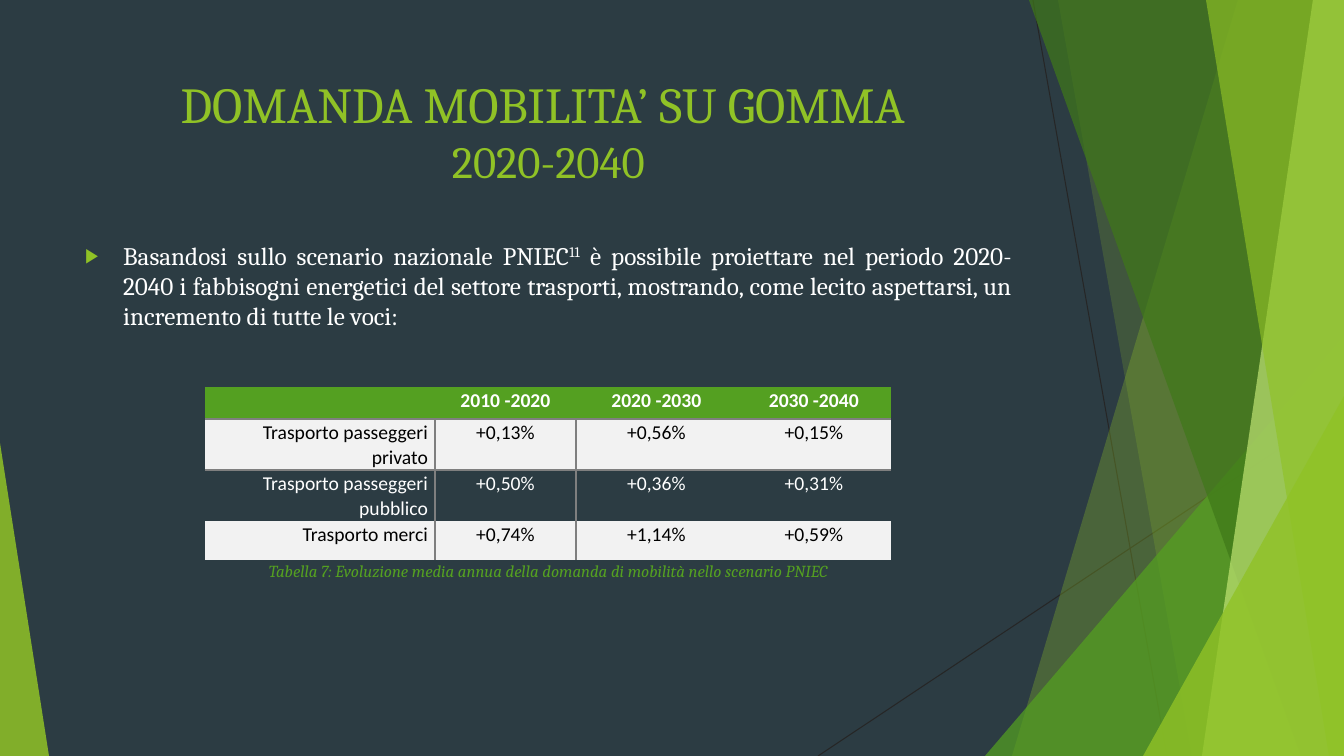
from lxml.etree import SubElement
from pptx import Presentation
from pptx.dml.color import RGBColor
from pptx.enum.shapes import MSO_CONNECTOR, MSO_SHAPE
from pptx.enum.text import MSO_ANCHOR, MSO_AUTO_SIZE, PP_ALIGN
from pptx.oxml.ns import qn
from pptx.util import Emu, Inches, Pt

PX = Inches(7.5) / 756
WIDE, HIGH = 1344, 756
SLATE = RGBColor(0x2C, 0x3C, 0x43)
LIME = RGBColor(0x90, 0xC2, 0x26)
GREEN = RGBColor(0x54, 0xA0, 0x21)
FOREST = RGBColor(0x3F, 0x78, 0x19)
PALE = RGBColor(0xC0, 0xE4, 0x74)
DARK = RGBColor(0x26, 0x26, 0x26)
GREY = RGBColor(0x7F, 0x7F, 0x7F)
LIGHT = RGBColor(0xF2, 0xF2, 0xF2)
WHITE = RGBColor(0xFF, 0xFF, 0xFF)
BLACK = RGBColor(0, 0, 0)
NO_GRID = "{2D5ABB26-0587-4C30-8999-92F81FD0307C}"


def px(count):
    return Emu(round(count * PX))


def write(para, text, size, color, face="Cambria", bold=False, italic=False, base=0):
    run = para.add_run()
    run.text = text
    font = run.font
    font.name, font.size = face, Pt(size)
    font.bold, font.italic = bold, italic
    font.color.rgb = color
    if base:
        run._r.get_or_add_rPr().set("baseline", str(base * 1000))


class Board:
    def __init__(self, slide, back):
        self.slide = slide
        self.shapes = slide.shapes
        slide.background.fill.solid()
        slide.background.fill.fore_color.rgb = back

    def paint(self, shape, color, alpha):
        shape.shadow.inherit = False
        shape.line.fill.background()
        shape.fill.solid()
        shape.fill.fore_color.rgb = color
        tint = shape.element.spPr.find(".//" + qn("a:srgbClr"))
        SubElement(tint, qn("a:alpha")).set("val", str(alpha * 1000))

    def line(self, *ends):
        link = self.shapes.add_connector(MSO_CONNECTOR.STRAIGHT, *map(px, ends))
        link.line.color.rgb = DARK
        link.line.width = Pt(0.75)
        SubElement(link.element.spPr, qn("a:effectLst"))

    def band(self, top, bottom, color, alpha):
        path = self.shapes.build_freeform(top, 0, scale=PX)
        path.add_line_segments([(WIDE, 0), (WIDE, HIGH), (bottom, HIGH)])
        self.paint(path.convert_to_shape(), color, alpha)

    def wedge(self, left, top, tip, color, alpha, width):
        shape = self.shapes.add_shape(
            MSO_SHAPE.ISOSCELES_TRIANGLE, px(left), px(top), px(width), px(HIGH - top))
        shape.adjustments[0] = tip
        self.paint(shape, color, alpha)

    def holder(self, index, left, top, width, height):
        shape = self.slide.placeholders[index]
        shape.left, shape.top = px(left), px(top)
        shape.width, shape.height = px(width), px(height)
        self.shapes.element.append(shape.element)
        frame = shape.text_frame
        frame.auto_size = MSO_AUTO_SIZE.NONE
        frame.vertical_anchor = MSO_ANCHOR.TOP
        para = frame.paragraphs[0]
        para.space_before = Pt(0)
        return para

    def bullet(self, para, indent):
        props = para._p.get_or_add_pPr()
        props.set("marL", str(px(indent)))
        props.set("indent", str(-px(indent)))
        tint = SubElement(props, qn("a:buClr"))
        SubElement(tint, qn("a:srgbClr")).set("val", str(LIME))
        SubElement(props, qn("a:buSzPct")).set("val", "80000")
        SubElement(props, qn("a:buChar")).set("char", "▶")

    def border(self, cell, sides):
        props = cell._tc.get_or_add_tcPr()
        for side in sides:
            edge = SubElement(props, qn("a:ln" + side), w=str(Pt(1)))
            fill = SubElement(edge, qn("a:solidFill"))
            SubElement(fill, qn("a:srgbClr")).set("val", str(GREY))

    def cell(self, cell, text, row, col):
        head, shaded = row == 0, row % 2 == 1
        cell.margin_left = cell.margin_right = px(7)
        cell.margin_top = cell.margin_bottom = 0
        sides = {0: "R", 1: "L"}.get(col, "") if row else "B"
        self.border(cell, sides + ("T" if row == 1 else ""))
        if head or shaded:
            cell.fill.solid()
            cell.fill.fore_color.rgb = GREEN if head else LIGHT
        else:
            cell.fill.background()
        para = cell.text_frame.paragraphs[0]
        para.alignment = PP_ALIGN.CENTER if head or col else PP_ALIGN.RIGHT
        para.line_spacing = 1.07
        para.space_after = Pt(8)
        if text:
            write(para, text, 14, BLACK if shaded else WHITE, face="Calibri", bold=head)

    def table(self, left, top, widths, heights, data):
        frame = self.shapes.add_table(
            len(heights), len(widths), px(left), px(top), px(sum(widths)), px(sum(heights)))
        grid = frame.table
        grid.first_row = grid.horz_banding = False
        frame.element.find(".//" + qn("a:tableStyleId")).text = NO_GRID
        for col, width in zip(grid.columns, widths):
            col.width = px(width)
        for row, height in zip(grid.rows, heights):
            row.height = px(height)
        for r, texts in enumerate(data):
            for c, text in enumerate(texts):
                self.cell(grid.cell(r, c), text, r, c)

    def label(self, text, left, top, width, height):
        frame = self.shapes.add_textbox(px(left), px(top), px(width), px(height)).text_frame
        frame.word_wrap = True
        frame.auto_size = MSO_AUTO_SIZE.SHAPE_TO_FIT_TEXT
        para = frame.paragraphs[0]
        para.alignment = PP_ALIGN.CENTER
        para.space_after = Pt(10)
        write(para, text, 12, GREEN, italic=True)


def main():
    deck = Presentation()
    deck.slide_width, deck.slide_height = px(WIDE), px(HIGH)
    board = Board(deck.slides.add_slide(deck.slide_layouts[1]), SLATE)

    board.line(1033, 0, 1167, HIGH)
    board.line(WIDE, 406, 818, HIGH)
    board.band(1238, 1012, LIME, 30)
    board.band(1058, 1192, LIME, 20)
    board.wedge(985, 336, 1, GREEN, 72, width=359)
    board.band(1029, 1301, FOREST, 70)
    board.band(1313, 1202, PALE, 70)
    board.band(1206, 1329, LIME, 65)
    board.wedge(1143, 396, 1, LIME, 80, width=201)
    board.wedge(0, 443, 0, LIME, 85, width=49)

    title = board.holder(0, 75, 68, 947, 128)
    title.alignment = PP_ALIGN.CENTER
    write(title, "DOMANDA MOBILITA’ SU GOMMA ", 36, LIME)
    title.add_line_break()
    write(title, "2020-2040", 32, LIME)

    body = board.holder(1, 75, 235, 947, 140)
    body.alignment = PP_ALIGN.JUSTIFY
    board.bullet(body, 38)
    write(body, "Basandosi sullo scenario nazionale PNIEC", 18, WHITE)
    write(body, "11", 18, WHITE, base=30)
    write(body, " è possibile proiettare nel periodo 2020-2040 i fabbisogni energetici del "
          "settore trasporti, mostrando, come lecito aspettarsi, un incremento di tutte "
          "le voci:", 18, WHITE)

    board.table(205, 387, [230, 141, 161, 154], [32, 39, 39, 39], [
        ["", "2010 -2020", "2020 -2030", "2030 -2040"],
        ["Trasporto passeggeri privato", "+0,13%", "+0,56%", "+0,15%"],
        ["Trasporto passeggeri pubblico", "+0,50%", "+0,36%", "+0,31%"],
        ["Trasporto merci", "+0,74%", "+1,14%", "+0,59%"],
    ])
    board.label("Tabella 7: Evoluzione media annua della domanda di mobilità "
                "nello scenario PNIEC", 205, 556, 687, 30)
    deck.save("out.pptx")


if __name__ == "__main__":
    main()
